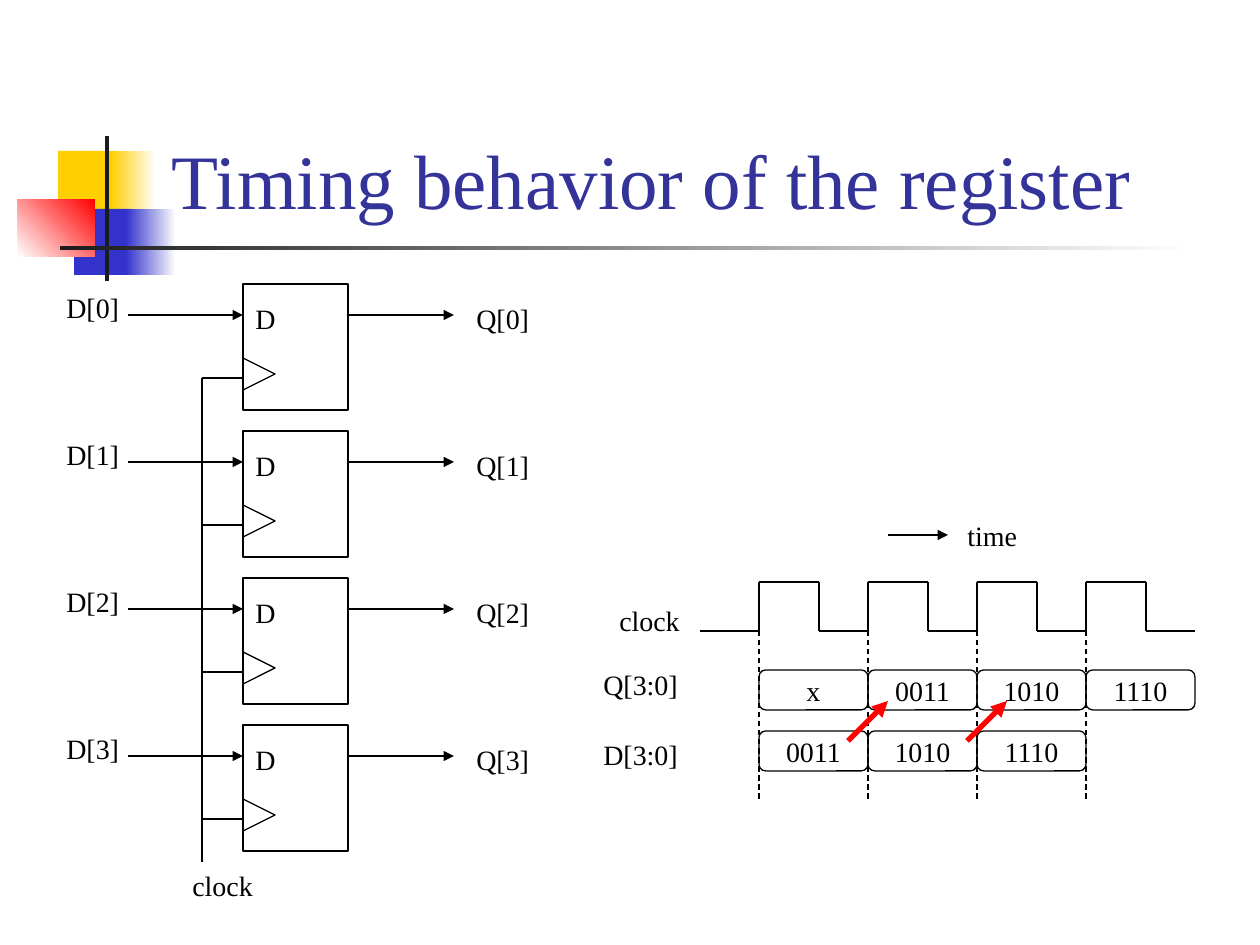
from dataclasses import dataclass
from typing import Optional

from lxml import etree
from pptx import Presentation
from pptx import util as u
from pptx.dml.color import RGBColor
from pptx.enum import dml, shapes, text
from pptx.oxml import ns

PX = u.Inches(1) / 126
FONT = "Times New Roman"

BLACK = RGBColor(0, 0, 0)
WHITE = RGBColor(0xFF, 0xFF, 0xFF)
RED = RGBColor(0xFF, 0, 0)
YELLOW = RGBColor(0xFF, 0xCF, 0x01)
BLUE = RGBColor(0x33, 0x33, 0xCC)
CHARCOAL = RGBColor(0x1C, 0x1C, 0x1C)
NAVY = RGBColor(0x33, 0x33, 0x99)

SHAPE = shapes.MSO_SHAPE


@dataclass
class Block:
    """A rectangle of the title ornament, plain or fading to a second colour."""
    x: int
    y: int
    w: int
    h: int
    color: RGBColor
    fade: Optional[RGBColor] = None
    angle: int = 0


@dataclass
class Label:
    words: str
    x: int
    y: int
    w: int
    h: int = 47


@dataclass
class Wire:
    x1: int
    y1: int
    x2: int
    y2: int
    arrow: bool = False
    dashed: bool = False
    color: RGBColor = BLACK
    points: float = 0.75


ORNAMENT = [
    Block(58, 151, 60, 66, YELLOW),
    Block(111, 151, 45, 66, YELLOW, WHITE),
    Block(74, 209, 58, 66, BLUE),
    Block(126, 209, 50, 66, BLUE, WHITE),
    Block(18, 199, 77, 58, WHITE, RED, 45),
    Block(105, 136, 4, 145, CHARCOAL),
    Block(60, 246, 1134, 4, CHARCOAL, WHITE),
]

# Register
BITS, BIT_TOP, BIT_PITCH = 4, 284, 147
FF_LEFT, FF_W, FF_H = 243, 105, 126
DATA_DY, CLOCK_DY = 31, 94
BUS_X, BUS_END = 202, 862

# Timing diagram
EDGE_X, PERIOD, HIGH_TIME = 759, 109, 60
HIGH, LOW, GUIDE_END = 582, 631, 800
Q_ROW, D_ROW, ROW_H = 670, 731, 40
VALUES = {Q_ROW: ["x", "0011", "1010", "1110"], D_ROW: ["0011", "1010", "1110"]}
TIMING_LABELS = [
    Label("time", 955, 512, 76),
    Label("clock", 607, 597, 86),
    Label("Q[3:0]", 591, 661, 101),
    Label("D[3:0]", 591, 731, 101),
]


def px(*lengths: int) -> list:
    return [u.Emu(round(n * PX)) for n in lengths]


def write(sp, words: str, size: int = 16, color: RGBColor = BLACK,
          align=text.PP_ALIGN.LEFT, **frame) -> None:
    tf = sp.text_frame
    for name, value in {"word_wrap": False, **frame}.items():
        setattr(tf, name, value)
    p = tf.paragraphs[0]
    p.alignment = align
    r = p.add_run()
    r.text = words
    for name, value in {"name": FONT, "size": u.Pt(size)}.items():
        setattr(r.font, name, value)
    r.font.color.rgb = color


def add_block(s, b: Block) -> None:
    sp = s.shapes.add_shape(SHAPE.RECTANGLE, *px(b.x, b.y, b.w, b.h))
    sp.shadow.inherit = False
    sp.line.fill.background()
    if b.fade is None:
        sp.fill.solid()
        sp.fill.fore_color.rgb = b.color
        return
    sp.fill.gradient()
    sp.fill.gradient_angle = b.angle
    for stop, color in zip(sp.fill.gradient_stops, (b.color, b.fade)):
        stop.color.rgb = color


def add_outline(s, kind, x: int, y: int, w: int, h: int):
    sp = s.shapes.add_shape(kind, *px(x, y, w, h))
    sp.shadow.inherit = False
    sp.fill.background()
    sp.line.color.rgb = BLACK
    sp.line.width = u.Pt(0.75)
    return sp


def add_label(s, label: Label) -> None:
    sp = s.shapes.add_textbox(*px(label.x, label.y, label.w, label.h))
    write(sp, label.words, auto_size=text.MSO_AUTO_SIZE.SHAPE_TO_FIT_TEXT)


def add_wire(s, wire: Wire) -> None:
    cxn = s.shapes.add_connector(
        shapes.MSO_CONNECTOR.STRAIGHT, *px(wire.x1, wire.y1, wire.x2, wire.y2))
    cxn.line.color.rgb = wire.color
    cxn.line.width = u.Pt(wire.points)
    if wire.dashed:
        cxn.line.dash_style = dml.MSO_LINE.DASH
    if wire.arrow:
        etree.SubElement(cxn.line._get_or_add_ln(), ns.qn("a:tailEnd"), type="triangle")
    etree.SubElement(cxn._element.spPr, ns.qn("a:effectLst"))


def add_flip_flop(s, bit: int) -> None:
    top = BIT_TOP + bit * BIT_PITCH
    right, data_y, clock_y = FF_LEFT + FF_W, top + DATA_DY, top + CLOCK_DY
    add_outline(s, SHAPE.RECTANGLE, FF_LEFT, top, FF_W, FF_H)
    add_outline(s, SHAPE.ISOSCELES_TRIANGLE, FF_LEFT, top + 74, 32, 32).rotation = 90
    for label in (Label("D", FF_LEFT, top + 11, 46),
                  Label(f"D[{bit}]", 54, top, 78),
                  Label(f"Q[{bit}]", 464, top + 11, 78)):
        add_label(s, label)
    for wire in (Wire(right, data_y, 454, data_y, arrow=True),
                 Wire(128, data_y, FF_LEFT, data_y, arrow=True),
                 Wire(FF_LEFT, clock_y, BUS_X, clock_y)):
        add_wire(s, wire)


def add_register(s) -> None:
    for bit in range(BITS):
        add_flip_flop(s, bit)
    add_wire(s, Wire(BUS_X, BIT_TOP + CLOCK_DY, BUS_X, BUS_END))
    add_label(s, Label("clock", 180, BUS_END, 86))


def add_timing(s) -> None:
    wave = [(700, LOW)]
    for cycle in range(4):
        rise = EDGE_X + cycle * PERIOD
        fall = rise + HIGH_TIME
        wave += [(rise, LOW), (rise, HIGH), (fall, HIGH), (fall, LOW)]
        add_wire(s, Wire(rise, LOW, rise, GUIDE_END, dashed=True))
    wave.append((EDGE_X + 4 * PERIOD, LOW))
    for start, end in zip(wave, wave[1:]):
        add_wire(s, Wire(*start, *end))

    add_wire(s, Wire(888, 535, 948, 535, arrow=True))
    for label in TIMING_LABELS:
        add_label(s, label)
    for row, values in VALUES.items():
        for cycle, value in enumerate(values):
            sp = add_outline(s, SHAPE.ROUNDED_RECTANGLE,
                             EDGE_X + cycle * PERIOD, row, PERIOD, ROW_H)
            write(sp, value, align=text.PP_ALIGN.CENTER,
                  vertical_anchor=text.MSO_ANCHOR.MIDDLE)
    for x in (848, 967):
        add_wire(s, Wire(x, 741, x + 40, 701, arrow=True, color=RED, points=3))


def main() -> None:
    prs = Presentation()
    prs.slide_width, prs.slide_height = px(1260, 945)
    s = prs.slides.add_slide(prs.slide_layouts[6])
    for block in ORNAMENT:
        add_block(s, block)
    title = s.shapes.add_textbox(*px(159, 29, 1074, 202))
    write(title, "Timing behavior of the register", 44, NAVY,
          word_wrap=True, vertical_anchor=text.MSO_ANCHOR.BOTTOM)
    add_register(s)
    add_timing(s)
    prs.save("out.pptx")


if __name__ == "__main__":
    main()
